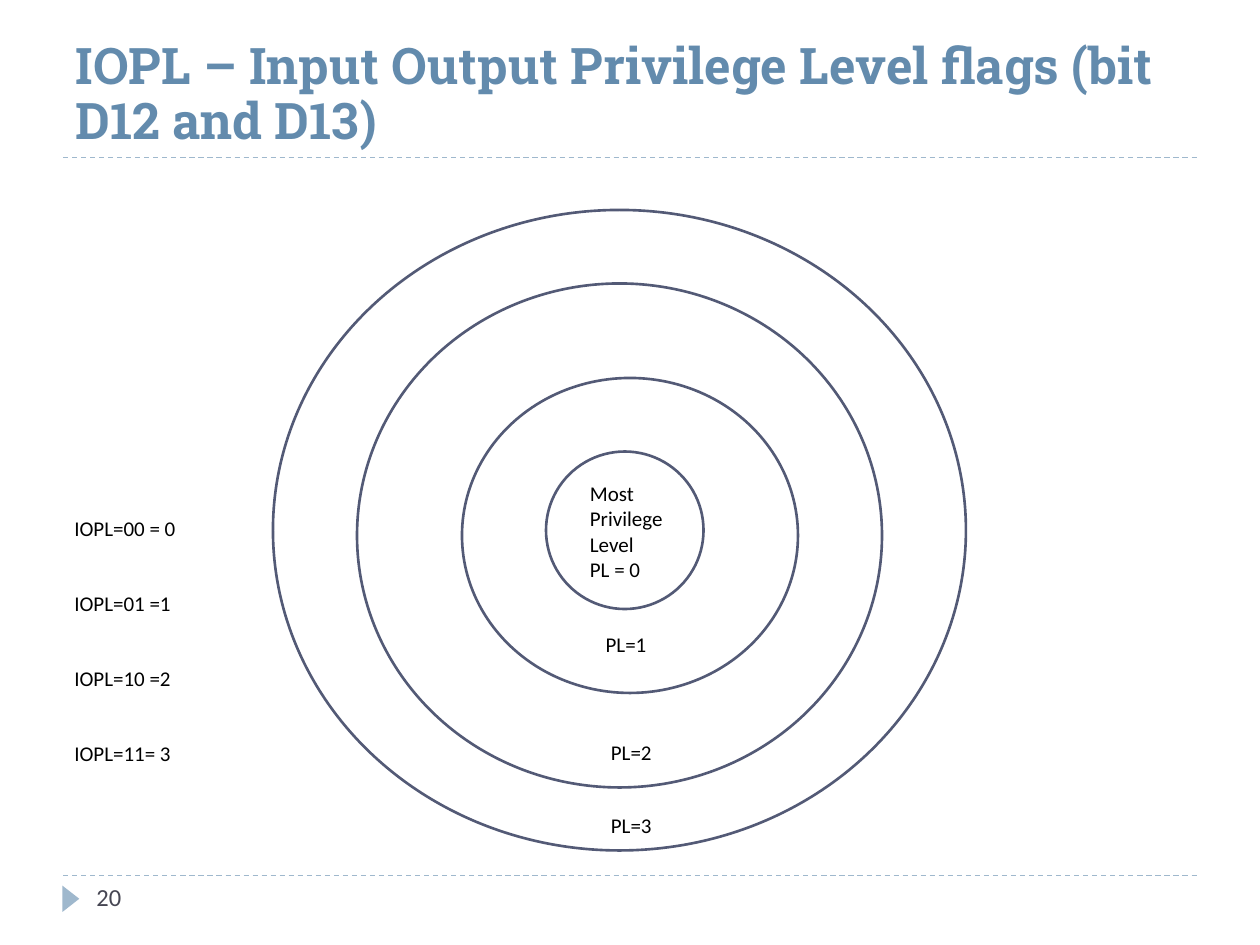
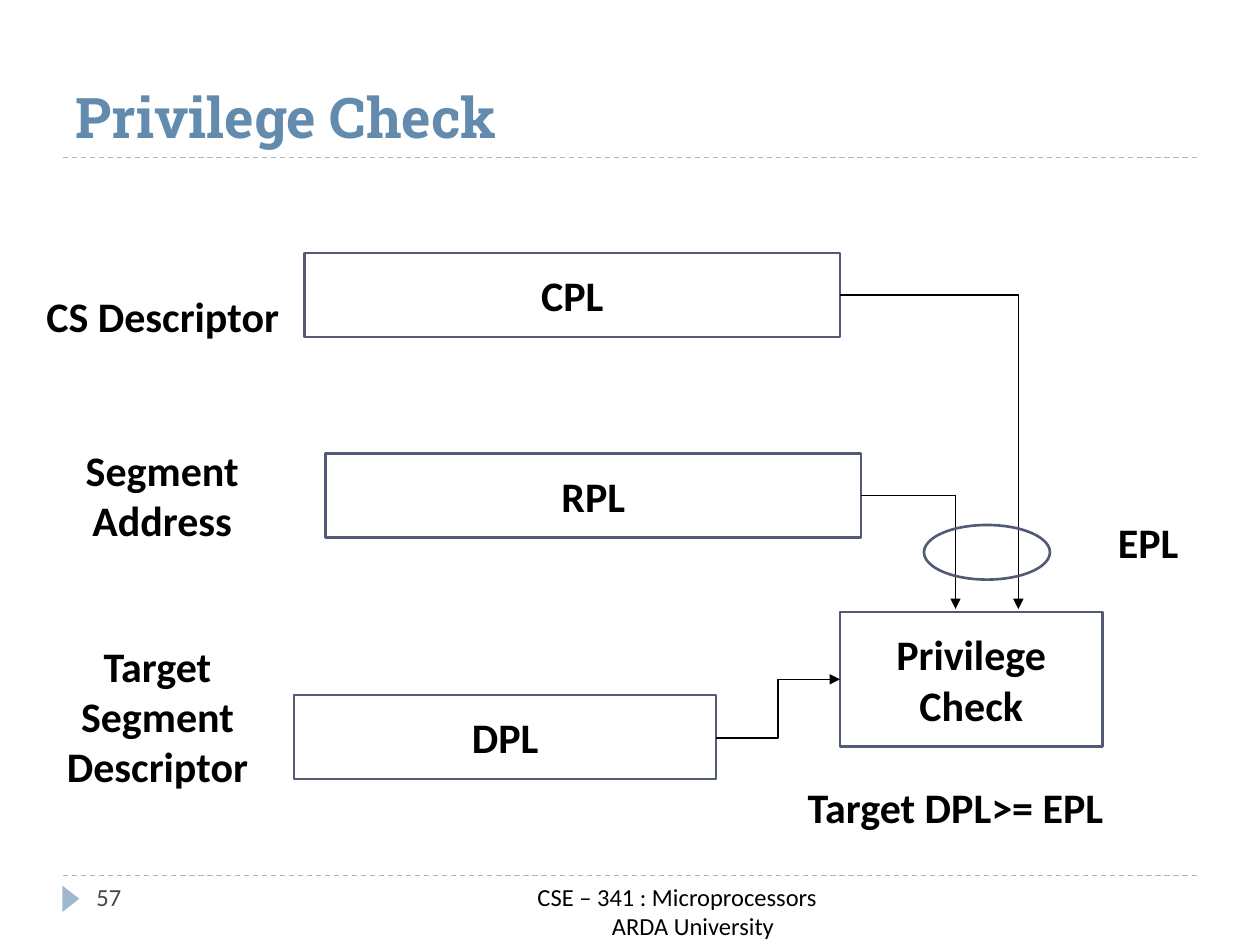
from lxml import etree
from pptx import Presentation
from pptx import util as u
from pptx.dml.color import RGBColor
from pptx.enum import dml, shapes, text
from pptx.oxml import ns

COLUMNS, ROWS = 120, 90
CELL = u.Inches(10) // COLUMNS

TITLE_BLUE = RGBColor(0x63, 0x8B, 0xAD)
BAND_BLUE = RGBColor(0x9F, 0xB8, 0xCD)
OUTLINE = RGBColor(0x53, 0x5A, 0x76)
NUMBER_GREY = RGBColor(0x46, 0x46, 0x53)
BLACK = RGBColor(0, 0, 0)
TITLE_FONT, BODY_FONT = "Roboto Slab", "Calibri"
TITLE_RULE, FOOTER_RULE = 15, 83.4
TITLE_BOX = (6, 1.9, 108, 13)
CENTER, MIDDLE = text.PP_ALIGN.CENTER, text.MSO_ANCHOR.MIDDLE


def grid(*cells):
    return [u.Emu(round(cell * CELL)) for cell in cells]


def format_text(frame, size, color=BLACK, font=BODY_FONT, bold=False, align=text.PP_ALIGN.LEFT):
    for paragraph in frame.paragraphs:
        paragraph.alignment = align
        for run in paragraph.runs:
            run.font.size = u.Pt(size)
            run.font.name = font
            run.font.bold = bold
            run.font.color.rgb = color


def add_text(slide, box, content, size, anchor=text.MSO_ANCHOR.TOP, **style):
    frame = slide.shapes.add_textbox(*grid(*box)).text_frame
    frame.word_wrap = True
    frame.vertical_anchor = anchor
    frame.text = content
    format_text(frame, size, **style)
    return frame


def add_label(slide, box, content):
    add_text(slide, box, content, 24, MIDDLE, bold=True, align=CENTER)


def add_outline(slide, kind, box):
    shape = slide.shapes.add_shape(kind, *grid(*box))
    shape.shadow.inherit = False
    shape.fill.background()
    shape.line.color.rgb = OUTLINE
    shape.line.width = u.Pt(1.5)
    return shape


def add_ellipse(slide, box):
    add_outline(slide, shapes.MSO_SHAPE.OVAL, box)


def add_box(slide, box, content):
    frame = add_outline(slide, shapes.MSO_SHAPE.RECTANGLE, box).text_frame
    frame.word_wrap = True
    frame.vertical_anchor = MIDDLE
    frame.text = content
    format_text(frame, 24, bold=True, align=CENTER)


def add_line(slide, kind, start, end, color):
    line = slide.shapes.add_connector(kind, *grid(*start, *end))
    line.line.color.rgb = color
    line.line.width = u.Pt(0.75)
    etree.SubElement(line._element.spPr, ns.qn("a:effectLst"))
    return line


def add_arrow(slide, start, end, single_bend=False):
    arrow = add_line(slide, shapes.MSO_CONNECTOR.ELBOW, start, end, BLACK)
    properties = arrow._element.spPr
    if single_bend:
        properties.find(ns.qn("a:prstGeom")).set("prst", "bentConnector2")
    outline = properties.find(ns.qn("a:ln"))
    etree.SubElement(outline, ns.qn("a:tailEnd")).set("type", "triangle")


def add_slide(presentation, title, title_size, number, line_spacing=1.0):
    """Add a slide with its title, dashed rules, marker and page number."""
    slide = presentation.slides.add_slide(presentation.slide_layouts.get_by_name("Title Only"))
    for row in (FOOTER_RULE, TITLE_RULE):
        rule = add_line(slide, shapes.MSO_CONNECTOR.STRAIGHT, (6, row), (114, row), BAND_BLUE)
        rule.line.dash_style = dml.MSO_LINE.DASH

    marker = slide.shapes.add_shape(
        shapes.MSO_SHAPE.ISOSCELES_TRIANGLE, *grid(5.5, 84.8, 2.5, 1.6))
    marker.rotation = 90
    marker.shadow.inherit = False
    marker.fill.solid()
    marker.fill.fore_color.rgb = BAND_BLUE
    marker.line.fill.background()

    heading = slide.shapes.title
    heading.left, heading.top, heading.width, heading.height = grid(*TITLE_BOX)
    frame = heading.text_frame
    frame.text = title
    frame.auto_size = text.MSO_AUTO_SIZE.NONE
    frame.vertical_anchor = text.MSO_ANCHOR.BOTTOM
    frame.paragraphs[0].line_spacing = line_spacing
    format_text(frame, title_size, TITLE_BLUE, TITLE_FONT, bold=True)

    add_text(slide, (8, FOOTER_RULE, 26, 4.8), number, 14, color=NUMBER_GREY)
    return slide


def add_course_footer(slide):
    frame = add_text(slide, (24, FOOTER_RULE, 81, 4.8),
                     "CSE – 341 : Microprocessors\nARDA University", 14, align=CENTER)
    indent = u.Inches(0.25)
    frame.paragraphs[1]._p.get_or_add_pPr().set("marL", str(indent))


def add_privilege_rings(presentation):
    slide = add_slide(presentation, "IOPL – Input Output Privilege Level flags (bit D12 and D13)",
                      28.8, "20", line_spacing=0.9)
    rings = [(34, 27, 50, 48), (26, 20, 66, 61), (44, 36, 32, 30), (52, 43, 15, 15)]
    for ring in rings:
        add_ellipse(slide, ring)

    add_text(slide, (55, 45.2, 10, 10.9), "Most Privilege\nLevel\nPL = 0", 12)
    ring_labels = [("PL=3", 57, 76.8), ("PL=2", 57, 69.8), ("PL=1", 56.5, 59.6)]
    for content, column, row in ring_labels:
        add_text(slide, (column, row, 10, 3.6), content, 12)

    levels = add_text(slide, (5.9, 48.5, 14.2, 28),
                      "IOPL=00 = 0\nIOPL=01 =1\nIOPL=10 =2\nIOPL=11= 3", 12)
    for paragraph in levels.paragraphs[1:]:
        paragraph.space_before = u.Pt(28.5)


def add_privilege_check(presentation):
    slide = add_slide(presentation, "Privilege Check", 32, "57")
    add_course_footer(slide)

    boxes = [
        ("Privilege Check", (80, 58.3, 25, 12.8)),
        ("CPL", (29, 24.1, 51, 8)),
        ("RPL", (31, 43.2, 51, 8)),
        ("DPL", (28, 66.2, 40.2, 8)),
    ]
    for content, box in boxes:
        add_box(slide, box, content)

    add_arrow(slide, (80, 28.1), (97, 58), single_bend=True)
    add_arrow(slide, (82, 47.2), (91, 58), single_bend=True)
    add_arrow(slide, (68.2, 70.3), (80, 64.7))
    add_ellipse(slide, (88, 50, 12, 5.2))

    labels = [
        ("EPL", (103, 47.6, 12.7, 8)),
        ("Segment Address", (4.9, 43.1, 21.1, 8)),
        ("Target Segment\nDescriptor", (2.5, 63.4, 25, 9.5)),
        ("CS Descriptor", (3, 25.3, 25, 9.5)),
        ("Target DPL>= EPL", (70, 72.1, 42, 9.5)),
    ]
    for content, box in labels:
        add_label(slide, box, content)


def main():
    presentation = Presentation()
    presentation.slide_width, presentation.slide_height = grid(COLUMNS, ROWS)
    add_privilege_rings(presentation)
    add_privilege_check(presentation)
    presentation.save("out.pptx")


if __name__ == "__main__":
    main()
